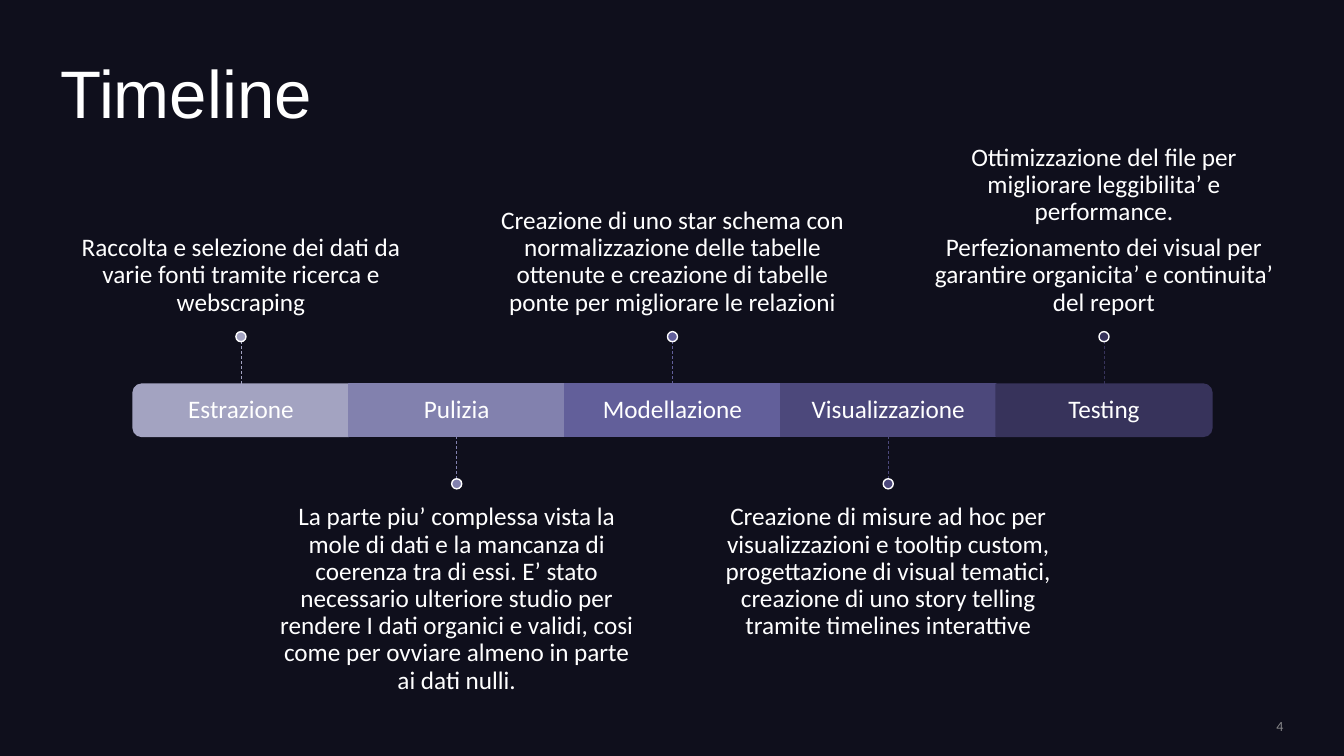
from dataclasses import dataclass

from lxml.etree import SubElement
from pptx import Presentation
from pptx.dml.color import RGBColor
from pptx.enum.dml import MSO_LINE_DASH_STYLE as Dash
from pptx.enum.shapes import MSO_CONNECTOR as Connector, MSO_SHAPE as Preset
from pptx.enum.text import MSO_ANCHOR as Anchor, MSO_AUTO_SIZE as AutoSize, PP_ALIGN as Align
from pptx.oxml.ns import qn
from pptx.util import Inches, Pt

WHITE = "FFFFFF"
BAR_LEFT, BAR_TOP, BAR_HEIGHT = 1.32, 3.81, 0.52
STAGE_WIDTH = 2.14
STEM_LENGTH, DOT_SIZE = 0.42, 0.1
NOTE_WIDTH, NOTE_HEIGHT = 3.57, 1.81
NOTE_ABOVE_TOP, NOTE_BELOW_TOP = 1.48, 4.85
PADDING = 0.15


@dataclass(frozen=True)
class Stage:
    name: str
    color: str
    note: str
    above: bool
    rotation: int = 0  # the rounded ends of the bar are turned outwards


STAGES = [
    Stage("Estrazione", "A3A3C1",
          "Raccolta e selezione dei dati da varie fonti tramite ricerca e webscraping",
          True, 270),
    Stage("Pulizia", "8281AE",
          "La parte piu’ complessa vista la mole di dati e la mancanza di coerenza tra di essi. "
          "E’ stato necessario ulteriore studio per rendere I dati organici e validi, cosi come "
          "per ovviare almeno in parte ai dati nulli.",
          False),
    Stage("Modellazione", "625F9A",
          "Creazione di uno star schema con normalizzazione delle tabelle ottenute e creazione "
          "di tabelle ponte per migliorare le relazioni",
          True),
    Stage("Visualizzazione", "4C487B",
          "Creazione di misure ad hoc per visualizzazioni e tooltip custom, progettazione di "
          "visual tematici, creazione di uno story telling tramite timelines interattive",
          False),
    Stage("Testing", "37335B",
          "Ottimizzazione del file per migliorare leggibilita’ e performance.\n"
          "Perfezionamento dei visual per garantire organicita’ e continuita’ del report",
          True, 90),
]


def rgb(color: str) -> RGBColor:
    return RGBColor.from_string(color)


def write(shape, text: str, size: float, color: str = WHITE, font: str = "Calibri",
          align=Align.CENTER, anchor=Anchor.MIDDLE, insets=(0, 0, 0, 0),
          line_spacing: float = 0.9, space_after: float = 0) -> None:
    frame = shape.text_frame
    frame.text = text
    frame.word_wrap = True
    frame.auto_size = AutoSize.NONE
    frame.vertical_anchor = anchor
    (frame.margin_left, frame.margin_top,
     frame.margin_right, frame.margin_bottom) = map(Inches, insets)
    for paragraph in frame.paragraphs:
        paragraph.alignment = align
        paragraph.line_spacing = line_spacing
        paragraph.space_before = Pt(0)
        paragraph.space_after = Pt(space_after)
        for run in paragraph.runs:
            run.font.name = font
            run.font.size = Pt(size)
            run.font.color.rgb = rgb(color)


def add_box(slide, left: float, top: float, width: float, height: float):
    return slide.shapes.add_textbox(Inches(left), Inches(top), Inches(width), Inches(height))


def add_filled(slide, preset, left: float, top: float, width: float, height: float,
               fill: str, line: str):
    shape = slide.shapes.add_shape(preset, Inches(left), Inches(top),
                                   Inches(width), Inches(height))
    shape.shadow.inherit = False
    shape.fill.solid()
    shape.fill.fore_color.rgb = rgb(fill)
    shape.line.color.rgb = rgb(line)
    shape.line.width = Pt(1)
    return shape


def add_segment(slide, stage: Stage, center: float):
    """Draw one part of the bar with its label."""
    left = center - STAGE_WIDTH / 2
    if stage.rotation:
        segment = add_filled(slide, Preset.ROUND_2_SAME_RECTANGLE, center - BAR_HEIGHT / 2,
                             BAR_TOP + (BAR_HEIGHT - STAGE_WIDTH) / 2,
                             BAR_HEIGHT, STAGE_WIDTH, stage.color, stage.color)
        segment.rotation = stage.rotation
        label = add_box(slide, left, BAR_TOP, STAGE_WIDTH, BAR_HEIGHT)
    else:
        segment = label = add_filled(slide, Preset.RECTANGLE, left, BAR_TOP, STAGE_WIDTH,
                                     BAR_HEIGHT, stage.color, stage.color)
    write(label, stage.name, 18, insets=(PADDING,) * 4, space_after=6.3)
    return segment


def add_stem(slide, stage: Stage, segment, center: float) -> None:
    """Draw the dashed line and the dot that lead to the note."""
    start = BAR_TOP if stage.above else BAR_TOP + BAR_HEIGHT
    end = start - STEM_LENGTH if stage.above else start + STEM_LENGTH
    stem = slide.shapes.add_connector(Connector.STRAIGHT, Inches(center), Inches(start),
                                      Inches(center), Inches(end))
    if not stage.rotation:
        stem.begin_connect(segment, 0 if stage.above else 2)
    stem.line.color.rgb = rgb(stage.color)
    stem.line.width = Pt(0.5)
    stem.line.dash_style = Dash.DASH
    SubElement(stem._element.spPr, qn("a:effectLst"))
    add_filled(slide, Preset.OVAL, center - DOT_SIZE / 2,
               end - DOT_SIZE if stage.above else end, DOT_SIZE, DOT_SIZE,
               stage.color, WHITE)


def add_note(slide, stage: Stage, center: float) -> None:
    note = add_box(slide, center - NOTE_WIDTH / 2,
                   NOTE_ABOVE_TOP if stage.above else NOTE_BELOW_TOP, NOTE_WIDTH, NOTE_HEIGHT)
    write(note, stage.note, 18, space_after=6.3,
          anchor=Anchor.BOTTOM if stage.above else Anchor.TOP,
          insets=(0, 0, 0, PADDING) if stage.above else (0, PADDING, 0, 0))


def main() -> None:
    presentation = Presentation()
    presentation.slide_width, presentation.slide_height = Inches(13.33), Inches(7.5)
    slide = presentation.slides.add_slide(presentation.slide_layouts[5])
    slide.background.fill.solid()
    slide.background.fill.fore_color.rgb = rgb("0F0F1C")

    # Title
    title = slide.shapes.title
    title.left, title.top = Inches(0.6), Inches(0.6)
    title.width, title.height = Inches(12.13), Inches(1.46)
    write(title, "Timeline", 48, font="Arial", align=Align.LEFT, anchor=Anchor.TOP)

    # Timeline
    for index, stage in enumerate(STAGES):
        center = BAR_LEFT + STAGE_WIDTH * (index + 0.5)
        segment = add_segment(slide, stage, center)
        add_note(slide, stage, center)
        add_stem(slide, stage, segment, center)

    # Slide number, slightly transparent
    number = add_box(slide, 10.88, 7.12, 1.85, 0.17)
    write(number, "4", 10, "A6A6A6", align=Align.RIGHT, line_spacing=1)
    for color in number._element.iter(qn("a:srgbClr")):
        SubElement(color, qn("a:alpha"), val="80000")

    presentation.save("out.pptx")


if __name__ == "__main__":
    main()
